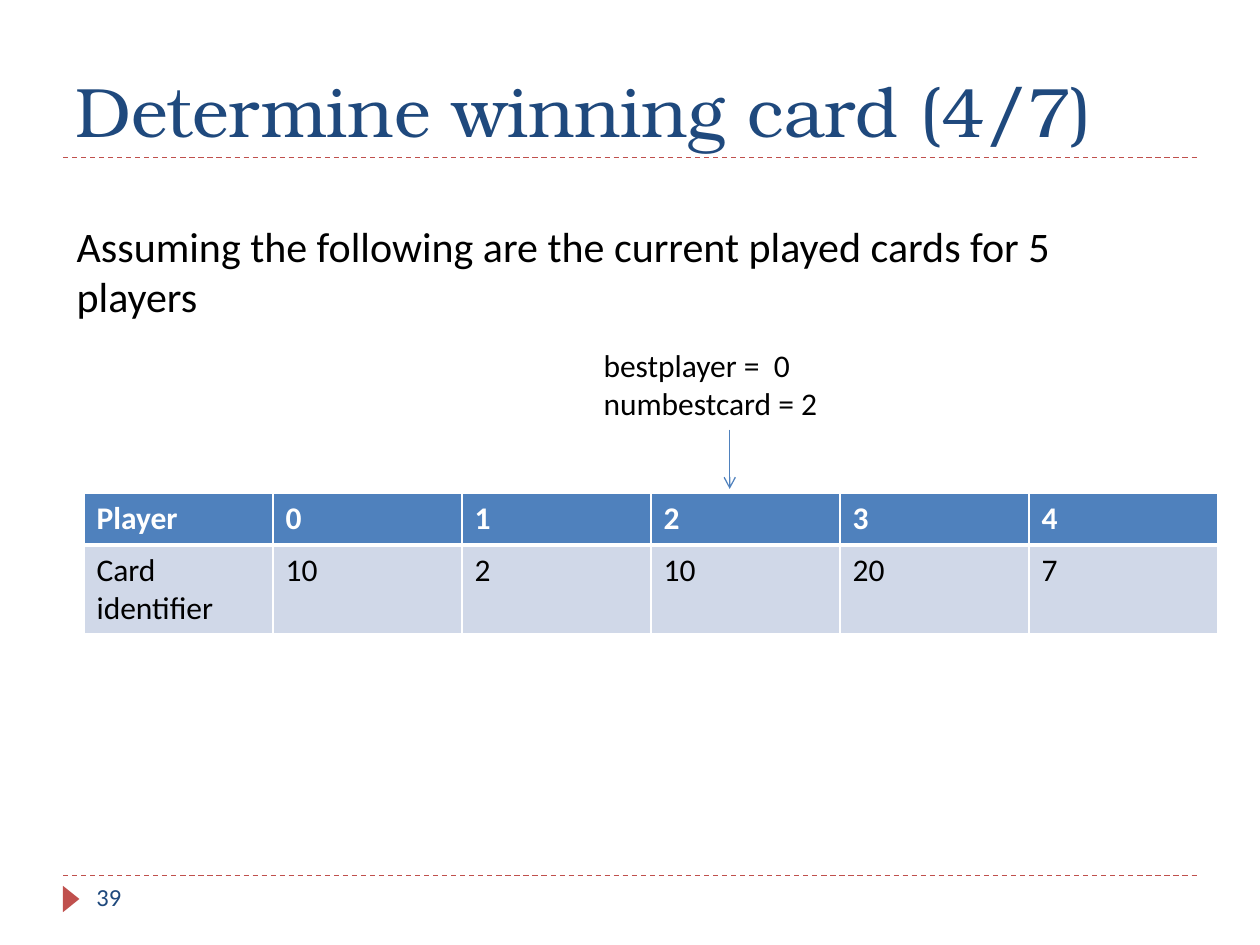
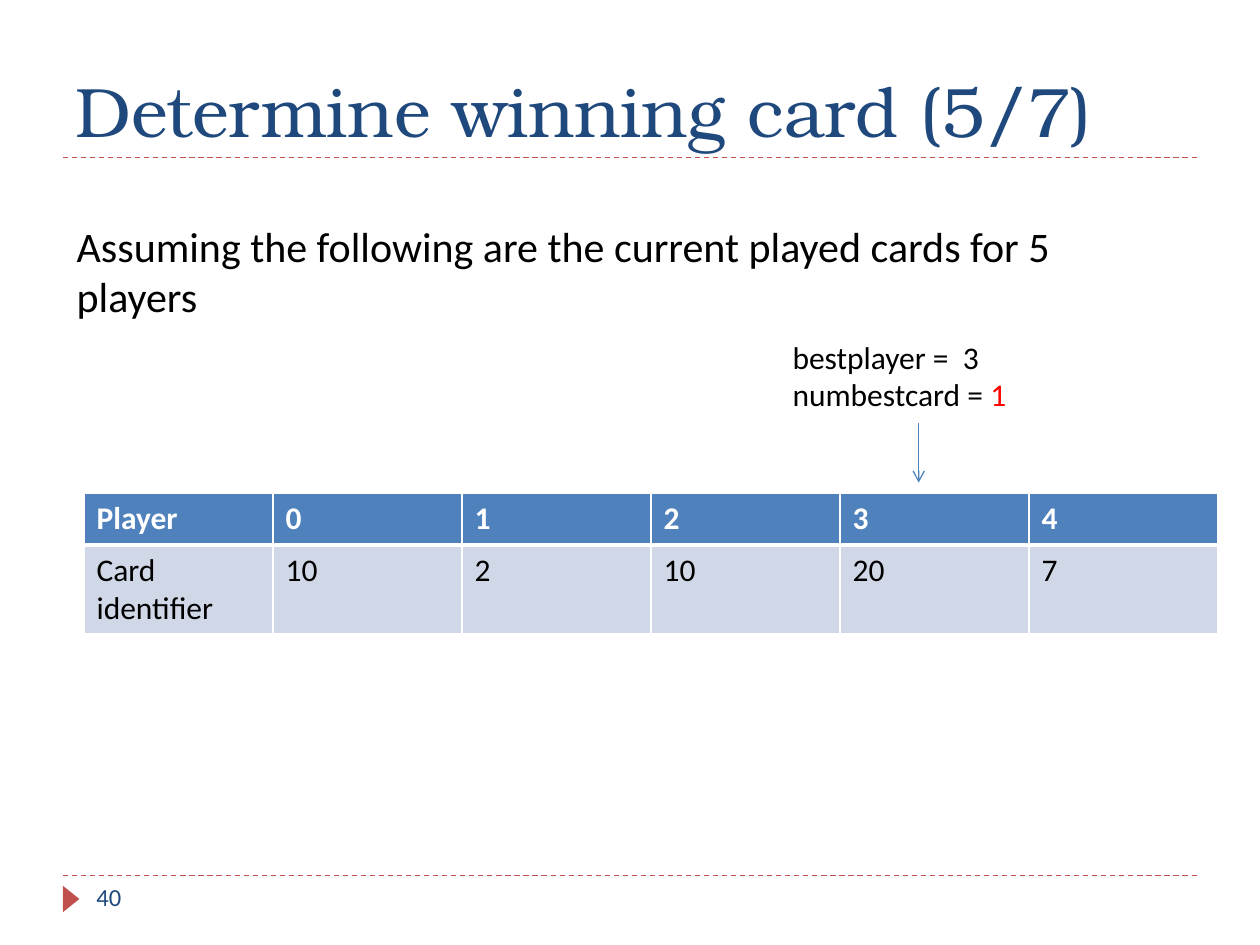
from lxml import etree
from pptx import Presentation
from pptx.dml.color import RGBColor
from pptx.enum import dml, shapes, text
from pptx.oxml import ns
from pptx.util import Pt

COLORS = {
    "navy": "1F497D", "blue": "4F81BD", "pale": "D0D8E8",
    "red": "C0504D", "changed": "FF0000", "black": "000000", "white": "FFFFFF",
}
TITLE_FONT, BODY_FONT = "TeX Gyre Bonum", "Calibri"

INTRO = "Assuming the following are the current played cards for 5 players"
CARDS = [
    ["Player", "0", "1", "2", "3", "4"],
    ["Card identifier", "10", "2", "10", "20", "7"],
]
# Each callout line is a list of (words, colour) runs.
STEPS = [
    {"title": "Determine winning card (4/7)", "number": "39", "player": 2,
     "callout_top": 194.4, "arrow_top": 245.5,
     "callout": [[("bestplayer =  0", "black")],
                 [("numbestcard = 2", "black")]]},
    {"title": "Determine winning card (5/7)", "number": "40", "player": 3,
     "callout_top": 189.4, "arrow_top": 241.9,
     "callout": [[("bestplayer =  3", "black")],
                 [("numbestcard = ", "black"), ("1", "changed")]]},
]

MARGIN, RIGHT = 36, 684
TITLE_RULE, FOOTER_RULE = 90, 500.4
TABLE_LEFT, TABLE_TOP, TABLE_HEIGHT = 48, 282, 80
COLUMN, ROW = 108, 29.5
CALLOUT_WIDTH, CALLOUT_HEIGHT = 158.4, 51.1
ARROW_LENGTH, ARROW_SHIFT = 33.9, -9


def rgb(name):
    """Return a palette colour."""
    return RGBColor.from_string(COLORS[name])


def add_run(paragraph, words, size, color, font=BODY_FONT, bold=False):
    """Append one formatted run."""
    run = paragraph.add_run()
    run.text = words
    run.font.name, run.font.size, run.font.bold = font, Pt(size), bold
    run.font.color.rgb = rgb(color)


def add_text(slide, box, lines, size):
    """Add a wrapping text box with one paragraph per list of runs."""
    frame = slide.shapes.add_textbox(*map(Pt, box)).text_frame
    frame.word_wrap = True
    for i, line in enumerate(lines):
        paragraph = frame.add_paragraph() if i else frame.paragraphs[0]
        for words, color in line:
            add_run(paragraph, words, size, color)


def add_line(slide, start, end, color):
    """Add a thin line without a shadow."""
    line = slide.shapes.add_connector(
        shapes.MSO_CONNECTOR.STRAIGHT, *map(Pt, (*start, *end)))
    line.line.color.rgb = rgb(color)
    line.line.width = Pt(0.75)
    etree.SubElement(line._element.spPr, ns.qn("a:effectLst"))
    return line


def add_frame(slide, title, number):
    """Add the title, the two dashed rules and the footer marker."""
    for y in (FOOTER_RULE, TITLE_RULE):
        rule = add_line(slide, (MARGIN, y), (RIGHT, y), "red")
        rule.line.dash_style = dml.MSO_LINE.DASH

    marker = slide.shapes.add_shape(
        shapes.MSO_SHAPE.ISOSCELES_TRIANGLE, Pt(33.1), Pt(509), Pt(15.1), Pt(9.4))
    marker.rotation = 90
    marker.shadow.inherit = False
    marker.fill.solid()
    marker.fill.fore_color.rgb = rgb("red")
    marker.line.fill.background()

    heading = slide.shapes.title
    heading.left, heading.top = Pt(MARGIN), Pt(12.2)
    heading.width, heading.height = Pt(RIGHT - MARGIN), Pt(TITLE_RULE - 12.2)
    frame = heading.text_frame
    frame.auto_size = text.MSO_AUTO_SIZE.NONE
    frame.vertical_anchor = text.MSO_ANCHOR.BOTTOM
    frame.paragraphs[0].alignment = text.PP_ALIGN.LEFT
    add_run(frame.paragraphs[0], title, 40, "navy", TITLE_FONT)

    add_text(slide, (TABLE_LEFT, FOOTER_RULE, 156, 29), [[(number, "navy")]], 14)


def set_borders(cell, widths):
    """Draw white borders, with widths in the order left, right, top, bottom."""
    properties = cell._tc.get_or_add_tcPr()
    for i, (side, width) in enumerate(zip("LRTB", widths)):
        edge = etree.Element(ns.qn(f"a:ln{side}"), w=str(Pt(width)))
        fill = etree.SubElement(edge, ns.qn("a:solidFill"))
        etree.SubElement(fill, ns.qn("a:srgbClr"), val=COLORS["white"])
        properties.insert(i, edge)


def add_cards(slide):
    """Add the table of played cards."""
    holder = slide.shapes.add_table(
        len(CARDS), len(CARDS[0]), Pt(TABLE_LEFT), Pt(TABLE_TOP),
        Pt(COLUMN * len(CARDS[0])), Pt(TABLE_HEIGHT))
    for r, values in enumerate(CARDS):
        holder.table.rows[r].height = Pt(ROW)
        header = r == 0
        for c, value in enumerate(values):
            cell = holder.table.cell(r, c)
            cell.fill.solid()
            cell.fill.fore_color.rgb = rgb("blue" if header else "pale")
            set_borders(cell, (1, 1, 1, 3) if header else (1, 1, 3, 1))
            add_run(cell.text_frame.paragraphs[0], value, 18,
                    "white" if header else "black", bold=header)
    holder.height = Pt(TABLE_HEIGHT)


def add_callout(slide, step):
    """Add the variables and an arrow down to the current player's column."""
    x = TABLE_LEFT + COLUMN * (step["player"] + 1.5) + ARROW_SHIFT
    arrow = add_line(slide, (x, step["arrow_top"]),
                     (x, step["arrow_top"] + ARROW_LENGTH), "blue")
    etree.SubElement(arrow.line._get_or_add_ln(), ns.qn("a:tailEnd"), type="arrow")
    add_text(slide, (x - CALLOUT_WIDTH / 2, step["callout_top"],
                     CALLOUT_WIDTH, CALLOUT_HEIGHT), step["callout"], 18)


def main():
    """Build one slide for each step."""
    deck = Presentation()
    deck.slide_width, deck.slide_height = Pt(720), Pt(540)
    for step in STEPS:
        slide = deck.slides.add_slide(deck.slide_layouts[5])
        add_frame(slide, step["title"], step["number"])
        add_cards(slide)
        add_callout(slide, step)
        add_text(slide, (36.7, 122.4, 572.4, 65.5), [[(INTRO, "black")]], 24)
    deck.save("out.pptx")


main()
